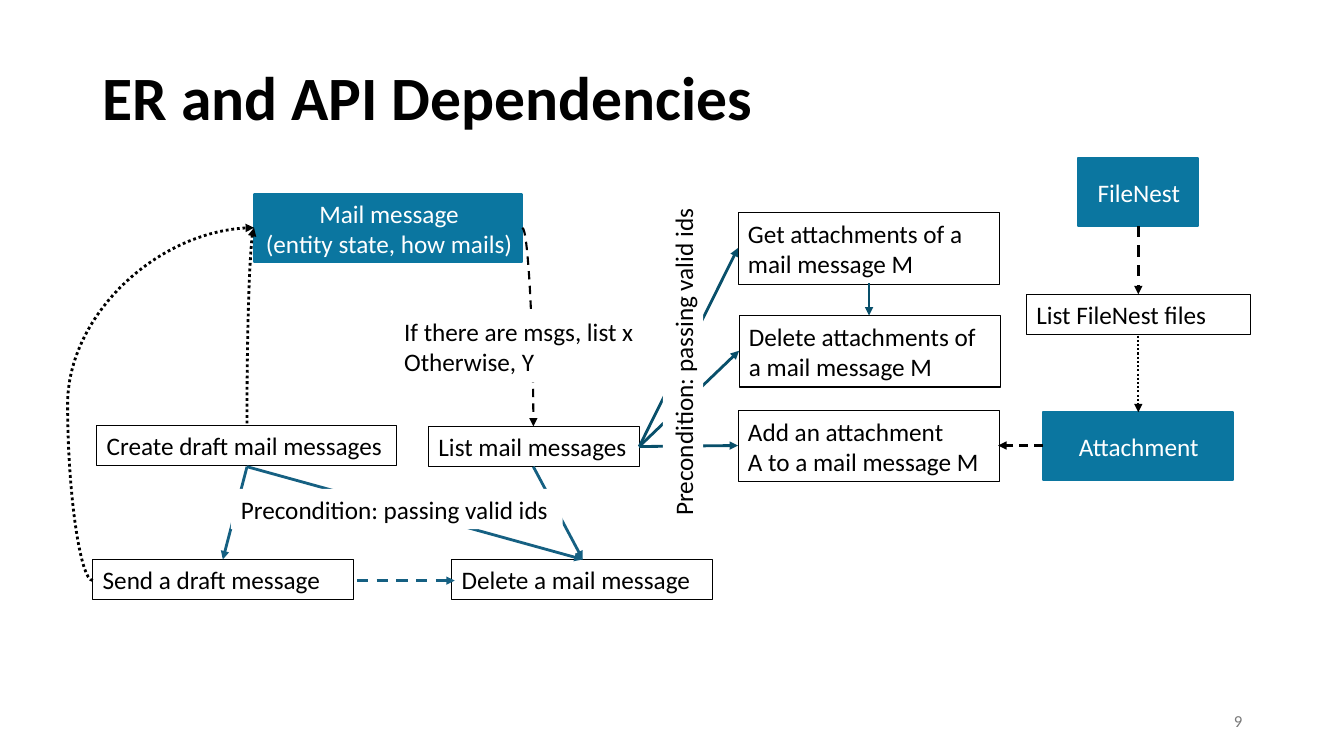
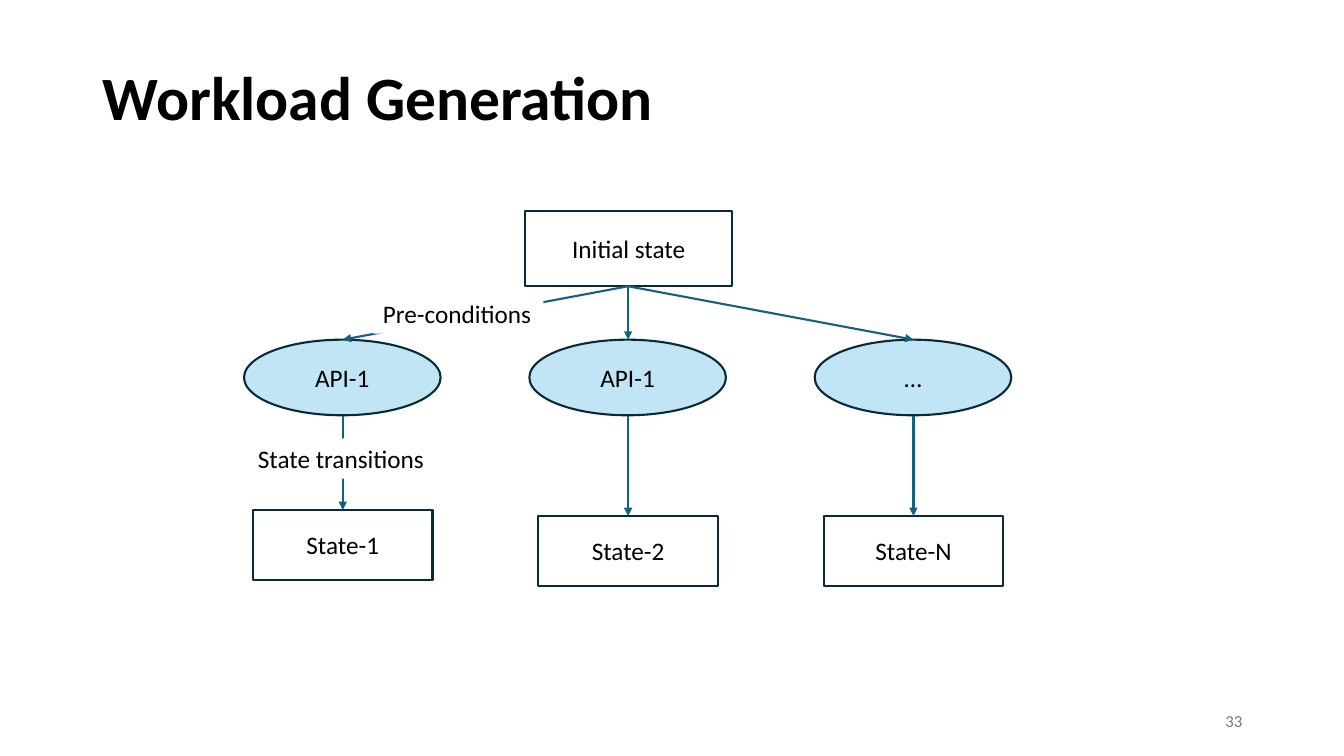
from lxml import etree
from pptx import Presentation, util as u
from pptx.dml.color import RGBColor
from pptx.enum import dml, shapes, text
from pptx.oxml import ns

FONT = "Calibri"
BLACK, WHITE, GREY = "000000", "FFFFFF", "797979"
ENTITY, TEAL, DEEP_TEAL = "0B76A0", "156082", "084F6A"
OUTLINE, PALE_BLUE = "092A39", "C1E5F5"
LEFT, CENTER, RIGHT = text.PP_ALIGN.LEFT, text.PP_ALIGN.CENTER, text.PP_ALIGN.RIGHT
RECT, OVAL = shapes.MSO_SHAPE.RECTANGLE, shapes.MSO_SHAPE.OVAL
DASH, DOT = dml.MSO_LINE.DASH, dml.MSO_LINE.ROUND_DOT


def color(value):
    """Turn a hex string into a colour."""
    return RGBColor.from_string(value)


def inches(values):
    """Turn a sequence of numbers into lengths."""
    return [u.Inches(value) for value in values]


def write_text(box, words, size=18, ink=BLACK, bold=False, align=LEFT, right_inset=0.1, spacing=1.0):
    """Fill a box with one formatted paragraph per line of words."""
    frame = box.text_frame
    frame.word_wrap = True
    frame.vertical_anchor = text.MSO_ANCHOR.MIDDLE
    frame.margin_right = u.Inches(right_inset)
    frame.text = words
    for para in frame.paragraphs:
        para.alignment = align
        para.line_spacing = spacing
        for span in para.runs:
            span.font.name = FONT
            span.font.size = u.Pt(size)
            span.font.bold = bold
            span.font.color.rgb = color(ink)


def add_box(page, words, place, kind=RECT, fill=None, line=None, width=0.75, turn=0, **style):
    """Add a shape with text, filled and outlined as asked."""
    box = page.shapes.add_shape(kind, *inches(place))
    box.shadow.inherit = False
    box.rotation = turn
    if fill:
        box.fill.solid()
        box.fill.fore_color.rgb = color(fill)
    else:
        box.fill.background()
    if line:
        box.line.color.rgb = color(line)
        box.line.width = u.Pt(width)
    else:
        box.line.fill.background()
    write_text(box, words, **style)


def add_entity(page, words, place):
    """Add a solid entity box."""
    add_box(page, words, place, fill=ENTITY, line=ENTITY, width=1.5,
            ink=WHITE, align=CENTER, right_inset=0.08)


def add_call(page, words, place):
    """Add an outlined box for an API call."""
    add_box(page, words, place, line=BLACK, right_inset=0)


def add_label(page, words, place, turn=0):
    """Add a white label that covers the lines below it."""
    add_box(page, words, place, fill=WHITE, turn=turn, right_inset=0)


def add_node(page, words, place, kind=RECT, fill=WHITE):
    """Add a centred node of the workload tree."""
    add_box(page, words, place, kind=kind, fill=fill, line=OUTLINE, width=1.5, align=CENTER)


def add_arrow(page, start, end, ink=TEAL, width=2, dash=None, curve=None, bend=None, tip="tailEnd"):
    """Add a straight or curved connector with one arrowhead."""
    kind = shapes.MSO_CONNECTOR.CURVE if curve else shapes.MSO_CONNECTOR.STRAIGHT
    arrow = page.shapes.add_connector(kind, *inches(start + end))
    arrow.line.color.rgb = color(ink)
    arrow.line.width = u.Pt(width)
    if dash:
        arrow.line.dash_style = dash
    properties = arrow.element.spPr
    outline = properties.find(ns.qn("a:ln"))
    etree.SubElement(outline, ns.qn("a:" + tip), type="triangle")
    etree.SubElement(properties, ns.qn("a:effectLst"))
    if curve:
        geometry = properties.find(ns.qn("a:prstGeom"))
        geometry.set("prst", curve)
        if bend is not None:
            guides = geometry.find(ns.qn("a:avLst"))
            etree.SubElement(guides, ns.qn("a:gd"), name="adj1", fmla=f"val {bend}")


def add_page(deck, title, number):
    """Add a blank page with its title and page number."""
    page = deck.slides.add_slide(deck.slide_layouts[6])
    heading = page.shapes.add_textbox(*inches((0.92, 0.4, 11.5, 1.2)))
    write_text(heading, title, size=44, bold=True, spacing=0.9)
    footer = page.shapes.add_textbox(*inches((9.42, 6.95, 3, 0.4)))
    write_text(footer, str(number), size=12, ink=GREY, align=RIGHT)
    return page


def build_dependencies(deck):
    """Build the page on entities and API dependencies."""
    page = add_page(deck, "ER and API Dependencies", 9)

    add_entity(page, "Mail message\n(entity state, how mails)", (2.52, 1.93, 2.66, 0.67))
    add_entity(page, "Attachment", (10.34, 4.09, 1.89, 0.67))
    add_entity(page, "FileNest", (10.69, 1.57, 1.19, 0.67))

    for words, place in (
        ("List FileNest files", (10.18, 2.92, 2.22, 0.4)),
        ("Get attachments of a\nmail message M", (7.32, 2.11, 2.59, 0.71)),
        ("Delete attachments of\na mail message M", (7.33, 3.13, 2.59, 0.71)),
        ("Add an attachment\nA to a mail message M", (7.32, 4.07, 2.59, 0.71)),
        ("Create draft mail messages", (0.96, 4.22, 2.97, 0.4)),
        ("List mail messages", (4.25, 4.23, 2.09, 0.4)),
        ("Send a draft message", (0.92, 5.55, 2.59, 0.4)),
        ("Delete a mail message", (4.48, 5.55, 2.59, 0.4)),
    ):
        add_call(page, words, place)

    create, listing, delete = (2.45, 4.63), (5.29, 4.63), (5.78, 5.55)
    add_arrow(page, create, (2.21, 5.55))
    add_arrow(page, create, delete)
    add_arrow(page, listing, delete)
    add_arrow(page, (3.54, 5.76), (4.51, 5.76), dash=DASH)

    for target in ((7.32, 2.46), (7.33, 3.48), (7.32, 4.42)):
        add_arrow(page, (6.34, 4.43), target, ink=DEEP_TEAL)
    add_arrow(page, (8.62, 2.81), (8.62, 3.13), ink=DEEP_TEAL)

    add_arrow(page, (11.29, 2.24), (11.29, 2.92), ink=BLACK, dash=DASH)
    add_arrow(page, (11.29, 3.33), (11.29, 4.09), ink=BLACK, width=1.5, dash=DOT)
    add_arrow(page, (10.34, 4.42), (9.9, 4.42), ink=BLACK, width=1.5, dash=DASH)

    mail = (2.52, 2.26)
    add_arrow(page, (5.18, 2.26), (5.29, 4.23), ink=BLACK, width=1.5, dash=DASH,
              curve="curvedConnector2")
    add_arrow(page, mail, (2.45, 4.22), ink=BLACK, dash=DOT,
              curve="curvedConnector2", tip="headEnd")
    add_arrow(page, (0.92, 5.76), mail, ink=BLACK, dash=DOT,
              curve="curvedConnector3", bend=-15600)

    add_label(page, "Precondition: passing valid ids", (2.29, 4.85, 3.29, 0.4))
    add_label(page, "Precondition: passing valid ids", (5.13, 3.37, 3.29, 0.4), turn=270)
    add_label(page, "If there are msgs, list x\nOtherwise, Y", (3.91, 3.08, 2.5, 0.71))


def build_workload(deck):
    """Build the page on workload generation."""
    page = add_page(deck, "Workload Generation", 33)
    root = (6.23, 2.84)
    add_node(page, "Initial state", (5.21, 2.09, 2.05, 0.75))

    branches = (("API-1", "State-1", 5.06), ("API-1", "State-2", 5.12), ("…", "State-N", 5.12))
    for index, (call, state, top) in enumerate(branches):
        middle = 3.4 + 2.83 * index
        add_node(page, call, (middle - 0.98, 3.37, 1.95, 0.75), kind=OVAL, fill=PALE_BLUE)
        add_node(page, state, (middle - 0.89, top, 1.78, 0.69))
        add_arrow(page, root, (middle, 3.37), width=1.5)
        add_arrow(page, (middle, 4.13), (middle, top), width=1.5)

    add_label(page, "Pre-conditions", (3.7, 2.91, 1.69, 0.4))
    add_label(page, "State transitions", (2.46, 4.35, 1.87, 0.4))


def main():
    """Build and save the deck."""
    deck = Presentation()
    deck.slide_width, deck.slide_height = inches((13.33, 7.5))
    build_dependencies(deck)
    build_workload(deck)
    deck.save("out.pptx")


if __name__ == "__main__":
    main()
